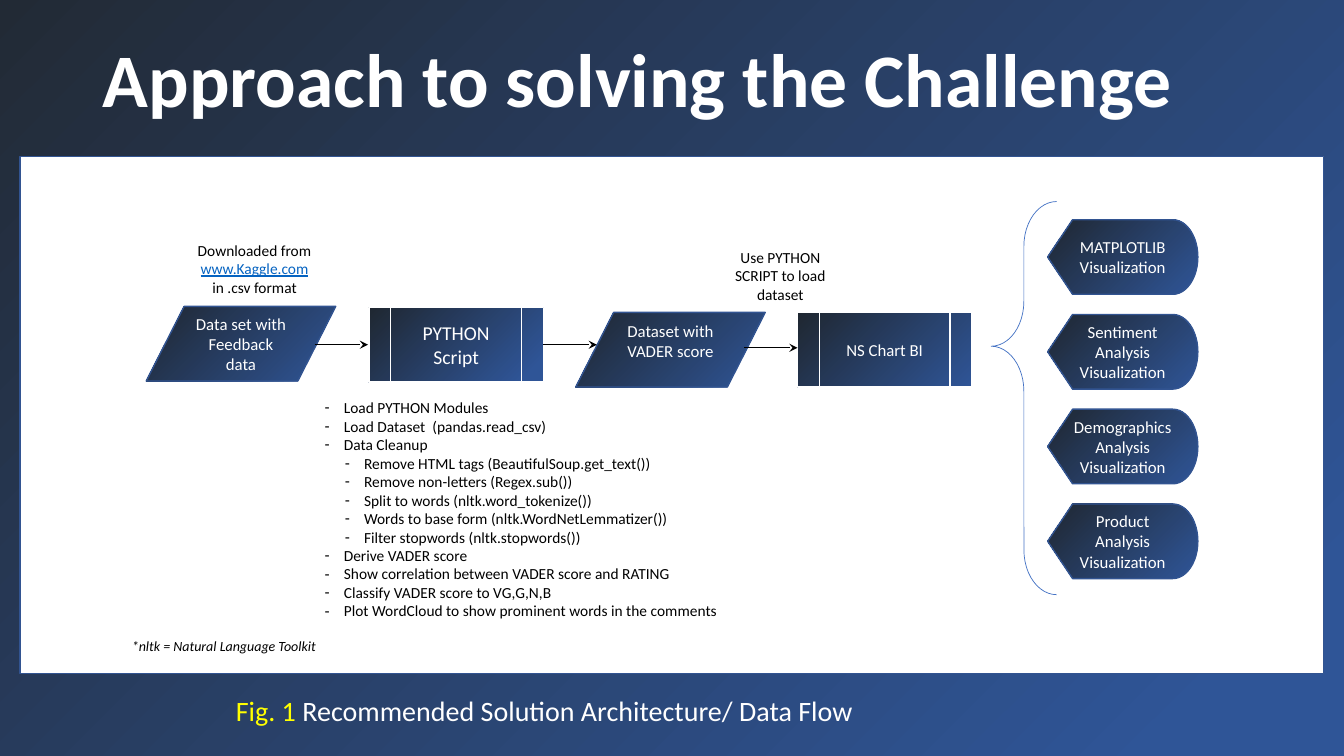
from lxml.etree import SubElement as Sub
from pptx import Presentation
from pptx.dml.color import RGBColor
from pptx.enum.shapes import MSO_CONNECTOR as Line, MSO_SHAPE as Kind
from pptx.enum.text import MSO_ANCHOR as Anchor, MSO_AUTO_SIZE as Fit, PP_ALIGN as Align
from pptx.oxml.ns import qn
from pptx.util import Inches, Pt

WHITE, BLACK, EDGE = "FFFFFF", "000000", "325491"

STEPS = [
    (0, 0.7, 1.88, Kind.FLOWCHART_DATA, "Data set with Feedback data", 12, EDGE, 100),
    (2.21, 0.71, 1.73, Kind.FLOWCHART_PREDEFINED_PROCESS, "PYTHON Script", 14, WHITE, 91),
    (4.26, 0.76, 1.88, Kind.FLOWCHART_DATA, "Dataset with VADER score", 12, EDGE, 100),
    (6.46, 0.76, 1.73, Kind.FLOWCHART_PREDEFINED_PROCESS, "NS Chart BI", 12, WHITE, 100),
]
ARROWS = [(1.67, 1.08), (3.94, 1.08), (5.93, 1.11)]
TASKS = [
    (0, "Load PYTHON Modules"),
    (0, "Load Dataset  (pandas.read_csv)"),
    (0, "Data Cleanup"),
    (1, "Remove HTML tags (BeautifulSoup.get_text())"),
    (1, "Remove non-letters (Regex.sub())"),
    (1, "Split to words (nltk.word_tokenize())"),
    (1, "Words to base form (nltk.WordNetLemmatizer())"),
    (1, "Filter stopwords (nltk.stopwords())"),
    (0, "Derive VADER score"),
    (0, "Show correlation between VADER score and RATING"),
    (0, "Classify VADER score to VG,G,N,B"),
    (0, "Plot WordCloud to show prominent words in the comments"),
]
VIEWS = [
    "MATPLOTLIB\nVisualization",
    "Sentiment\nAnalysis\nVisualization",
    "Demographics\nAnalysis\nVisualization",
    "Product\nAnalysis\nVisualization",
]


def tint(text):
    return RGBColor.from_string(text)


def style(para, size, color, align=Align.LEFT):
    para.alignment = align
    para.font.name = "Calibri"
    para.font.size = Pt(size)
    para.font.color.rgb = tint(color)


def write(frame, text, size, color, align=Align.LEFT):
    frame.text = text
    for para in frame.paragraphs:
        style(para, size, color, align)


def fade(fill, node, dark, last=100):
    fill.gradient()
    for stop, color, place in zip(fill.gradient_stops, (dark, "2F5597"), (0, last)):
        stop.color.rgb = tint(color)
        stop.position = place / 100
    grad = node.find(".//" + qn("a:gradFill"))
    grad.remove(grad.find(qn("a:lin")))
    path = Sub(grad, qn("a:path"), path="circle")
    Sub(path, qn("a:fillToRect"), r="100000", b="100000")


def draw(slide, kind, box, edge, width=1):
    shape = slide.shapes.add_shape(kind, *map(Inches, box))
    shape.shadow.inherit = False
    shape.line.color.rgb = tint(edge)
    shape.line.width = Pt(width)
    return shape


def label(slide, box, text, size, color, align=Align.LEFT):
    frame = slide.shapes.add_textbox(*map(Inches, box)).text_frame
    frame.word_wrap = False
    write(frame, text, size, color, align)
    return frame


def node(slide, kind, box, text, size, edge, last=100):
    shape = draw(slide, kind, box, edge)
    fade(shape.fill, shape._element, "1F2731", last)
    frame = shape.text_frame
    frame.vertical_anchor = Anchor.MIDDLE
    write(frame, text, size, WHITE, Align.CENTER)
    return frame


def arrow(slide, left, top, width):
    link = slide.shapes.add_connector(
        Line.STRAIGHT, Inches(left), Inches(top), Inches(left + width), Inches(top))
    link.line.color.rgb = tint(BLACK)
    link.line.width = Pt(1)
    props = link._element.spPr
    Sub(props.find(qn("a:ln")), qn("a:tailEnd"), type="stealth")
    Sub(props, qn("a:effectLst"))


def place(holder, box):
    holder.left, holder.top, holder.width, holder.height = map(Inches, box)
    holder.text_frame.auto_size = Fit.NONE
    return holder.text_frame


def head(slide, box):
    frame = place(slide.shapes.title, box)
    frame.vertical_anchor = Anchor.MIDDLE
    write(frame, "Approach to solving the Challenge", 54, WHITE)
    para = frame.paragraphs[0]
    para.font.bold = True
    para.line_spacing = 0.9


def panel(slide, box):
    shape = draw(slide, Kind.RECTANGLE, box, EDGE)
    shape.fill.solid()
    shape.fill.fore_color.rgb = tint(WHITE)
    slide.shapes._spTree.insert(2, shape._element)


def flow(slide, left, top):
    frames = []
    for x, y, width, kind, text, size, edge, last in STEPS:
        box = left + x, top + y, width, 0.74
        frames.append(node(slide, kind, box, text, size, edge, last))
    frames[2].margin_bottom = Inches(0.23)
    source = label(slide, (left + 0.39, top, 1.37, 0.66),
                   "Downloaded from\nwww.Kaggle.com\nin .csv format", 11, BLACK, Align.CENTER)
    site = source.paragraphs[1].font
    site.color.rgb = tint("0563C1")
    site.underline = True
    label(slide, (left + 5.72, top + 0.07, 1.14, 0.66),
          "Use PYTHON\nSCRIPT to load\ndataset", 11, BLACK, Align.CENTER)
    for x, y in ARROWS:
        arrow(slide, left + x, top + y, 0.53)


def tasks(slide, box):
    frame = place(slide.placeholders[1], box)
    frame.word_wrap = False
    frame.text = "\n".join(text for _, text in TASKS)
    for para, (level, _) in zip(frame.paragraphs, TASKS):
        para.level = level
        para.space_before = Pt(0)
        props = para._p.get_or_add_pPr()
        props.set("marL", str(Inches(0.19 + 0.2 * level)))
        props.set("indent", str(Inches(-0.19)))
        Sub(props, qn("a:buChar"), char="-")
        style(para, 11, BLACK)


def views(slide, left, top):
    brace = draw(slide, Kind.LEFT_BRACE, (left, top, 0.65, 3.9), "4472C4", 0.5)
    brace.fill.background()
    brace.adjustments[0] = 0.685
    brace.adjustments[1] = 0.368
    for row, text in enumerate(VIEWS):
        box = left + 0.56, top + 0.18 + 0.94 * row, 1.49, 0.74
        frame = node(slide, Kind.FLOWCHART_DISPLAY, box, text, 12, EDGE)
        frame.word_wrap = False
        frame.margin_top = frame.margin_bottom = 0


def foot(slide, left, top):
    note = label(slide, (left, top, 2.06, 0.27), "*nltk = Natural Language Toolkit", 10, BLACK)
    note.paragraphs[0].font.italic = True
    frame = label(slide, (left + 1.03, top + 0.55, 8.45, 0.44), "", 20, WHITE)
    frame.word_wrap = True
    para = frame.paragraphs[0]
    mark = para.add_run()
    mark.text = "Fig. 1 "
    mark.font.color.rgb = tint("FFFF00")
    para.add_run().text = "Recommended Solution Architecture/ Data Flow"


def main():
    deck = Presentation()
    deck.slide_width, deck.slide_height = Inches(13.33), Inches(7.5)
    slide = deck.slides.add_slide(deck.slide_layouts[1])
    fade(slide.background.fill, slide._element, "222A35", 91)
    head(slide, (0.92, 0.1, 11.5, 1.45))
    panel(slide, (0.2, 1.55, 12.93, 5.13))
    flow(slide, 1.45, 2.34)
    tasks(slide, (3.12, 3.9, 4.12, 2.32))
    views(slide, 9.83, 2)
    foot(slide, 1.21, 6.28)
    deck.save("out.pptx")


if __name__ == "__main__":
    main()
